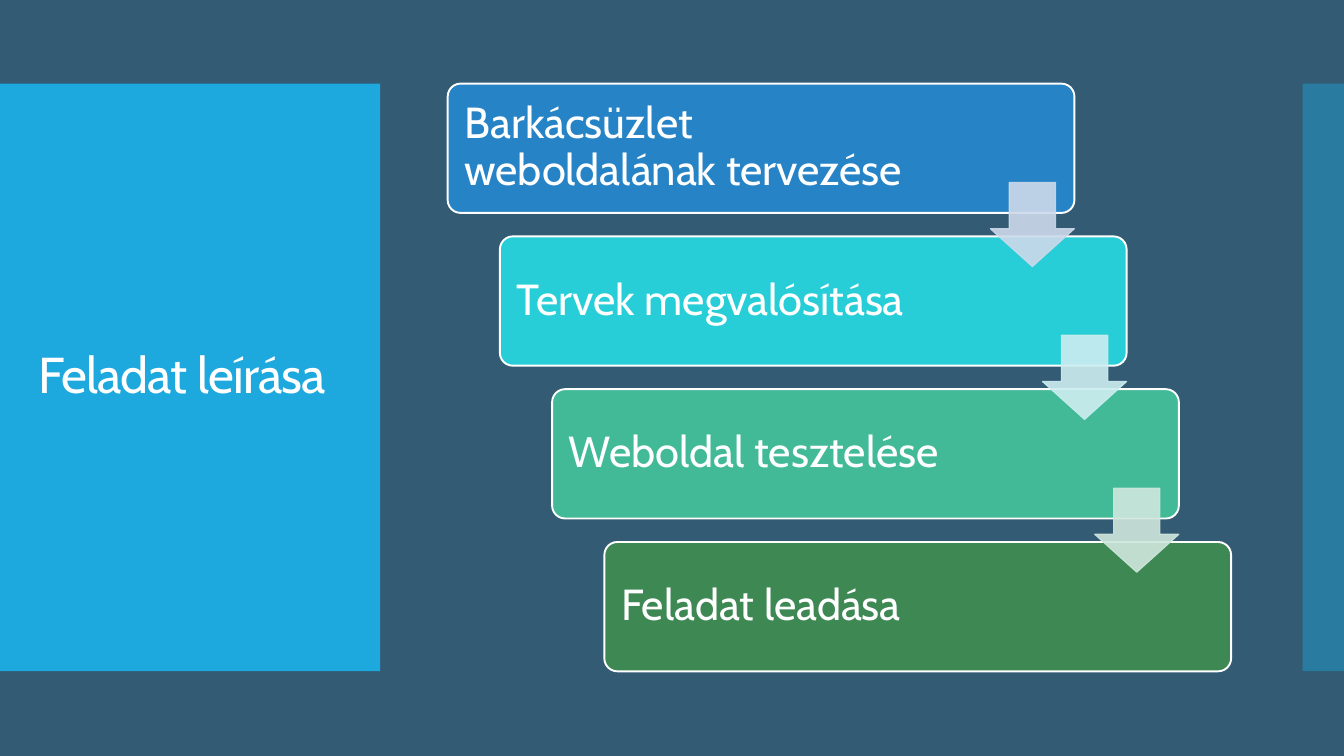
from dataclasses import dataclass

from lxml import etree
from pptx import Presentation
from pptx.dml.color import RGBColor
from pptx.enum.shapes import MSO_SHAPE
from pptx.enum.text import MSO_ANCHOR, PP_ALIGN
from pptx.oxml.ns import qn
from pptx.util import Inches, Pt

RECTANGLE = MSO_SHAPE.RECTANGLE
ROUNDED = MSO_SHAPE.ROUNDED_RECTANGLE
DOWN_ARROW = MSO_SHAPE.DOWN_ARROW
MIDDLE = MSO_ANCHOR.MIDDLE
LEFT = PP_ALIGN.LEFT


@dataclass(frozen=True)
class Theme:
    """Colours, font and sizes of the slide."""
    background: str = "335B74"
    accent: str = "1CADE4"
    text: str = "FFFFFF"
    font: str = "Cabin"
    title_size: float = 36
    step_size: float = 31
    step_line: float = 1.35
    arrow_line: float = 0.85


THEME = Theme()
STEPS = [
    ("Barkácsüzlet weboldalának tervezése", "2683C6", "CDD9EA"),
    ("Tervek megvalósítása", "27CED7", "CDEDF0"),
    ("Weboldal tesztelése", "42BA97", "CFE7DD"),
    ("Feladat leadása", "3E8853", None),
]


def paint(fill, color, opacity=100):
    """Give a fill a solid colour with an opacity in percent."""
    fill.solid()
    fill.fore_color.rgb = RGBColor.from_string(color)
    if opacity < 100:
        color_element = fill._xPr.find(qn("a:solidFill"))[0]
        alpha = etree.SubElement(color_element, qn("a:alpha"))
        alpha.set("val", str(opacity * 1000))


def add_block(slide, kind, box, color, opacity=100):
    """Add a filled preset shape without outline or shadow."""
    shape = slide.shapes.add_shape(kind, *(Inches(length) for length in box))
    shape.shadow.inherit = False
    paint(shape.fill, color, opacity)
    shape.line.fill.background()
    return shape


def write_text(frame, text, size):
    """Write one left-aligned, vertically centred paragraph."""
    frame.word_wrap = True
    frame.vertical_anchor = MIDDLE
    paragraph = frame.paragraphs[0]
    paragraph.alignment = LEFT
    paragraph.line_spacing = 0.9
    run = paragraph.add_run()
    run.text = text
    run.font.name = THEME.font
    run.font.size = Pt(size)
    run.font.color.rgb = RGBColor.from_string(THEME.text)
    return run


def add_title_panel(slide, box, title):
    """Place the left panel and its title."""
    left, top, width, height = box
    add_block(slide, RECTANGLE, box, THEME.accent, 95)
    text_box = slide.shapes.add_textbox(
        Inches(left + 0.28), Inches(top + 0.4), Inches(width - 0.55), Inches(height - 0.8))
    run = write_text(text_box.text_frame, title, THEME.title_size)
    run.font._element.set("spc", "-60")


def add_step(slide, box, text, color):
    """Place one rounded step with its text."""
    step = add_block(slide, ROUNDED, box, color)
    step.adjustments[0] = 0.1
    paint(step.line.fill, THEME.text)
    step.line.width = Pt(THEME.step_line)
    frame = step.text_frame
    frame.margin_left = frame.margin_top = frame.margin_bottom = Inches(0.13)
    frame.margin_right = Inches(1.5)
    write_text(frame, text, THEME.step_size)


def add_arrow(slide, box, color):
    """Place one translucent arrow between two steps."""
    arrow = add_block(slide, DOWN_ARROW, box, color, 90)
    arrow.adjustments[0] = 0.55
    arrow.adjustments[1] = 0.45
    paint(arrow.line.fill, color, 90)
    arrow.line.width = Pt(THEME.arrow_line)


def add_staircase(slide, box, steps):
    """Place the descending steps and, above them, the arrows."""
    left, top, width, height = box
    step_width, step_height = 0.8 * width, 0.22 * height
    shift = (width - step_width) / (len(steps) - 1)
    drop = (height - step_height) / (len(steps) - 1)
    arrow_size = 0.65 * step_height
    corners = [(left + index * shift, top + index * drop) for index in range(len(steps))]
    for (x, y), (text, color, _) in zip(corners, steps):
        add_step(slide, (x, y, step_width, step_height), text, color)
    for (x, y), (_, _, color) in zip(corners, steps):
        if color:
            arrow_box = (x + step_width - arrow_size, y + 0.765 * step_height,
                         arrow_size, arrow_size)
            add_arrow(slide, arrow_box, color)


def main():
    """Build and save the presentation."""
    presentation = Presentation()
    presentation.slide_width = Inches(13.33)
    presentation.slide_height = Inches(7.5)
    slide = presentation.slides.add_slide(presentation.slide_layouts[6])
    paint(slide.background.fill, THEME.background)
    top, height = 0.83, 5.83
    add_title_panel(slide, (0, top, 3.77, height), "Feladat leírása")
    add_block(slide, RECTANGLE, (12.92, top, 0.41, height), THEME.accent, 40)
    add_staircase(slide, (4.44, top, 7.77, height), STEPS)
    presentation.save("out.pptx")


if __name__ == "__main__":
    main()
